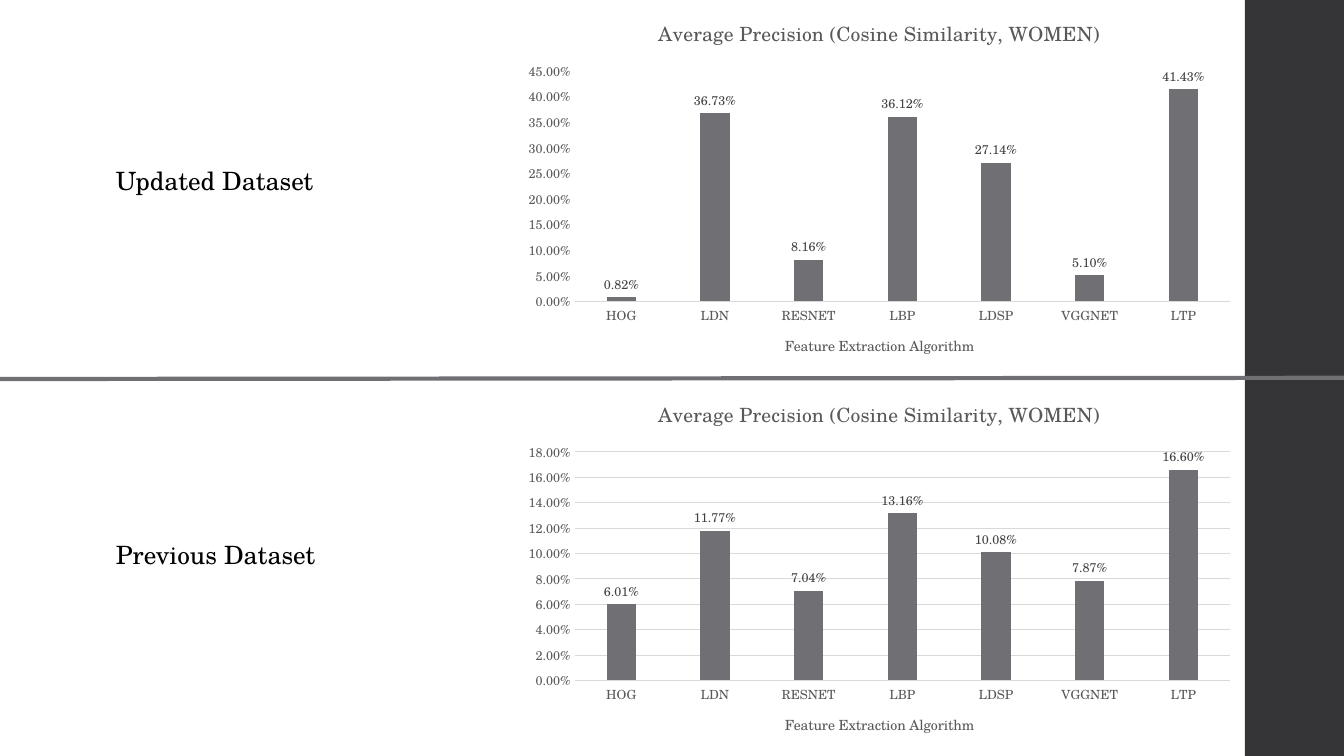
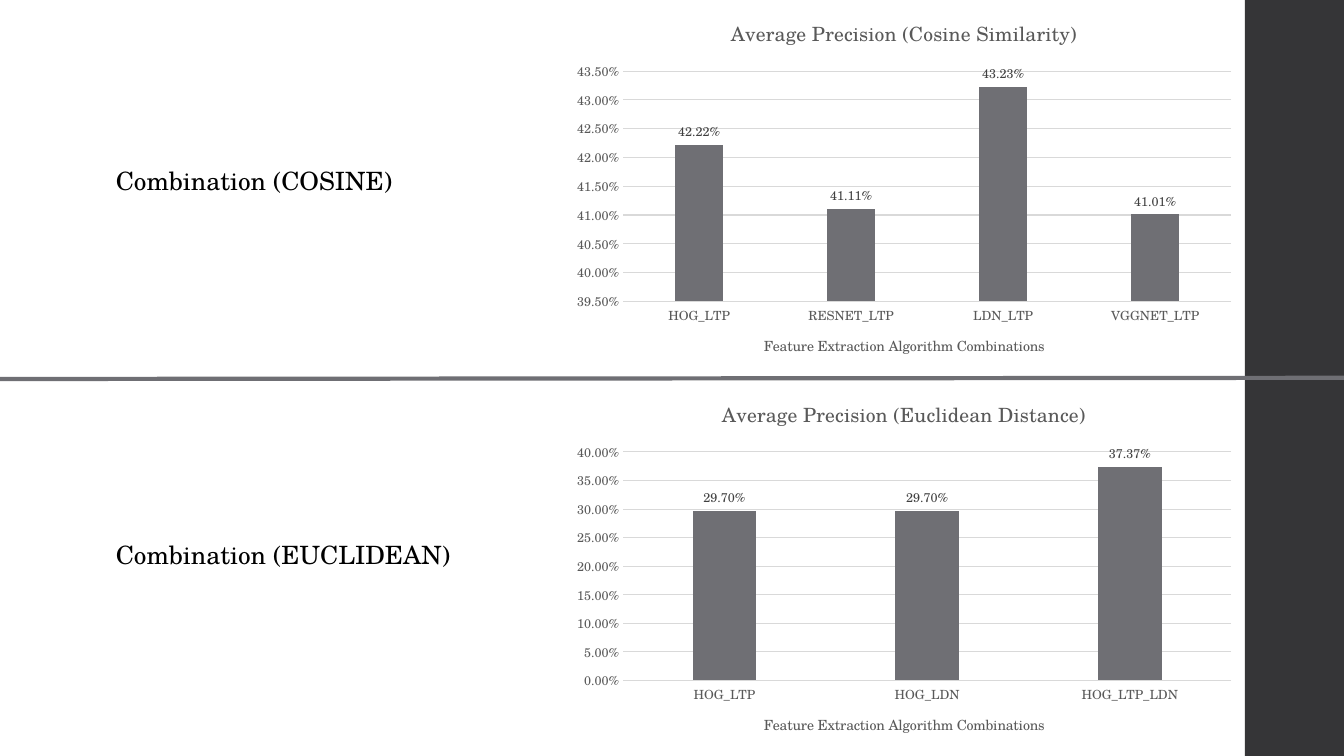
from pptx import Presentation
from pptx import util as u
from pptx.chart.data import CategoryChartData
from pptx.dml.color import RGBColor
from pptx.enum import chart as charts, shapes
from pptx.oxml.ns import qn
from lxml import etree

# Shared look
FONT = "TeX Gyre Schola"
BLACK = RGBColor(0x00, 0x00, 0x00)
BAND = RGBColor(0x35, 0x35, 0x37)
ACCENT = RGBColor(0x6F, 0x6F, 0x74)
GRID = RGBColor(0xD9, 0xD9, 0xD9)
AXIS_TEXT = RGBColor(0x59, 0x59, 0x59)
LABEL_TEXT = RGBColor(0x40, 0x40, 0x40)
PERCENT = "0.00%"

# Shared layout, in centimetres
WIDTH, HEIGHT = 33.87, 19.05
BAND_LEFT = 31.37
HEADING_LEFT, HEADING_WIDTH, HEADING_HEIGHT = 2.67, 10, 1.03
HEADING_TOPS = (4.04, 13.46)
CHART_TOPS = (0, 9.6)
CHART_HEIGHTS = (9.5, 9.45)

# Slide content: chart left edge, axis title, then an upper and a lower half
# A half holds heading, chart title, value scale (low, high, step), gridlines, values
ALGORITHMS = ("HOG", "LDN", "RESNET", "LBP", "LDSP", "VGGNET", "LTP")
WOMEN_TITLE = "Average Precision (Cosine Similarity, WOMEN)"
SLIDES = (
    (12.95, "Feature Extraction Algorithm", (
        ("Updated Dataset", WOMEN_TITLE, (0, 0.45, 0.05), False,
         dict(zip(ALGORITHMS, (0.0082, 0.3673, 0.0816, 0.3612, 0.2714, 0.051, 0.4143)))),
        ("Previous Dataset", WOMEN_TITLE, (0, 0.18, 0.02), True,
         dict(zip(ALGORITHMS, (0.0601, 0.1177, 0.0704, 0.1316, 0.1008, 0.0787, 0.166)))),
    )),
    (14.2, "Feature Extraction Algorithm Combinations", (
        ("Combination (COSINE)", "Average Precision (Cosine Similarity)",
         (0.395, 0.435, 0.005), True,
         {"HOG_LTP": 0.4222, "RESNET_LTP": 0.4111, "LDN_LTP": 0.4323, "VGGNET_LTP": 0.4101}),
        ("Combination (EUCLIDEAN)", "Average Precision (Euclidean Distance)",
         (0, 0.4, 0.05), True,
         {"HOG_LTP": 0.297, "HOG_LDN": 0.297, "HOG_LTP_LDN": 0.3737}),
    )),
)


def style_font(font, size, color):
    font.name = FONT
    font.size = u.Pt(size)
    font.bold = False
    font.color.rgb = color


def style_line(line, color, width):
    line.color.rgb = color
    line.width = u.Pt(width)


def add_band(slide):
    band = slide.shapes.add_shape(
        shapes.MSO_SHAPE.RECTANGLE,
        u.Cm(BAND_LEFT), 0, u.Cm(WIDTH - BAND_LEFT), u.Cm(HEIGHT))
    band.shadow.inherit = False
    band.fill.solid()
    band.fill.fore_color.rgb = BAND
    band.line.fill.background()


def add_divider(slide):
    divider = slide.shapes.add_connector(
        shapes.MSO_CONNECTOR.STRAIGHT, 0, u.Cm(9.55), u.Cm(WIDTH), u.Cm(9.52))
    style_line(divider.line, ACCENT, 3)
    etree.SubElement(divider.element.spPr, qn("a:effectLst"))


def add_heading(slide, top, heading):
    box = slide.shapes.add_textbox(
        u.Cm(HEADING_LEFT), u.Cm(top), u.Cm(HEADING_WIDTH), u.Cm(HEADING_HEIGHT))
    box.text_frame.word_wrap = True
    box.text_frame.text = heading
    style_font(box.text_frame.paragraphs[0].runs[0].font, 18, BLACK)


def set_title(title, wording, size):
    title.text_frame.text = wording
    style_font(title.text_frame.paragraphs[0].runs[0].font, size, AXIS_TEXT)


def style_axes(chart, axis_title, scale, gridlines):
    category_axis, value_axis = chart.category_axis, chart.value_axis
    for axis in (category_axis, value_axis):
        axis.major_tick_mark = axis.minor_tick_mark = charts.XL_TICK_MARK.NONE
        style_font(axis.tick_labels.font, 9, AXIS_TEXT)
    style_line(category_axis.format.line, GRID, 0.75)
    set_title(category_axis.axis_title, axis_title, 10)

    value_axis.minimum_scale, value_axis.maximum_scale, value_axis.major_unit = scale
    value_axis.format.line.fill.background()
    value_axis.tick_labels.number_format = PERCENT
    value_axis.tick_labels.number_format_is_linked = False
    value_axis.has_major_gridlines = gridlines
    if gridlines:
        style_line(value_axis.major_gridlines.format.line, GRID, 0.75)


def style_columns(plot):
    plot.gap_width = 219
    plot.overlap = -27
    plot.vary_by_categories = False
    fill = plot.series[0].format.fill
    fill.solid()
    fill.fore_color.rgb = ACCENT
    plot.has_data_labels = True
    labels = plot.data_labels
    labels.show_value = True
    labels.position = charts.XL_LABEL_POSITION.OUTSIDE_END
    labels.number_format = PERCENT
    labels.number_format_is_linked = False
    style_font(labels.font, 9, LABEL_TEXT)


def add_column_chart(slide, left, top, height, title, axis_title, scale, gridlines, values):
    data = CategoryChartData(number_format=PERCENT)
    data.categories = list(values)
    data.add_series("Series 1", list(values.values()))
    chart = slide.shapes.add_chart(
        charts.XL_CHART_TYPE.COLUMN_CLUSTERED,
        u.Cm(left), u.Cm(top), u.Cm(BAND_LEFT - left), u.Cm(height), data).chart
    style_font(chart.font, 10, BLACK)
    chart.has_legend = False
    set_title(chart.chart_title, title, 14)
    style_axes(chart, axis_title, scale, gridlines)
    style_columns(chart.plots[0])


def add_comparison_slide(presentation, chart_left, axis_title, halves):
    slide = presentation.slides.add_slide(presentation.slide_layouts[6])
    add_band(slide)
    add_divider(slide)
    for half, heading_top, chart_top, chart_height in zip(
            halves, HEADING_TOPS, CHART_TOPS, CHART_HEIGHTS):
        heading, title, scale, gridlines, values = half
        add_heading(slide, heading_top, heading)
        add_column_chart(slide, chart_left, chart_top, chart_height,
                         title, axis_title, scale, gridlines, values)


def main():
    presentation = Presentation()
    presentation.slide_width = u.Cm(WIDTH)
    presentation.slide_height = u.Cm(HEIGHT)
    for chart_left, axis_title, halves in SLIDES:
        add_comparison_slide(presentation, chart_left, axis_title, halves)
    presentation.save("out.pptx")


if __name__ == "__main__":
    main()
